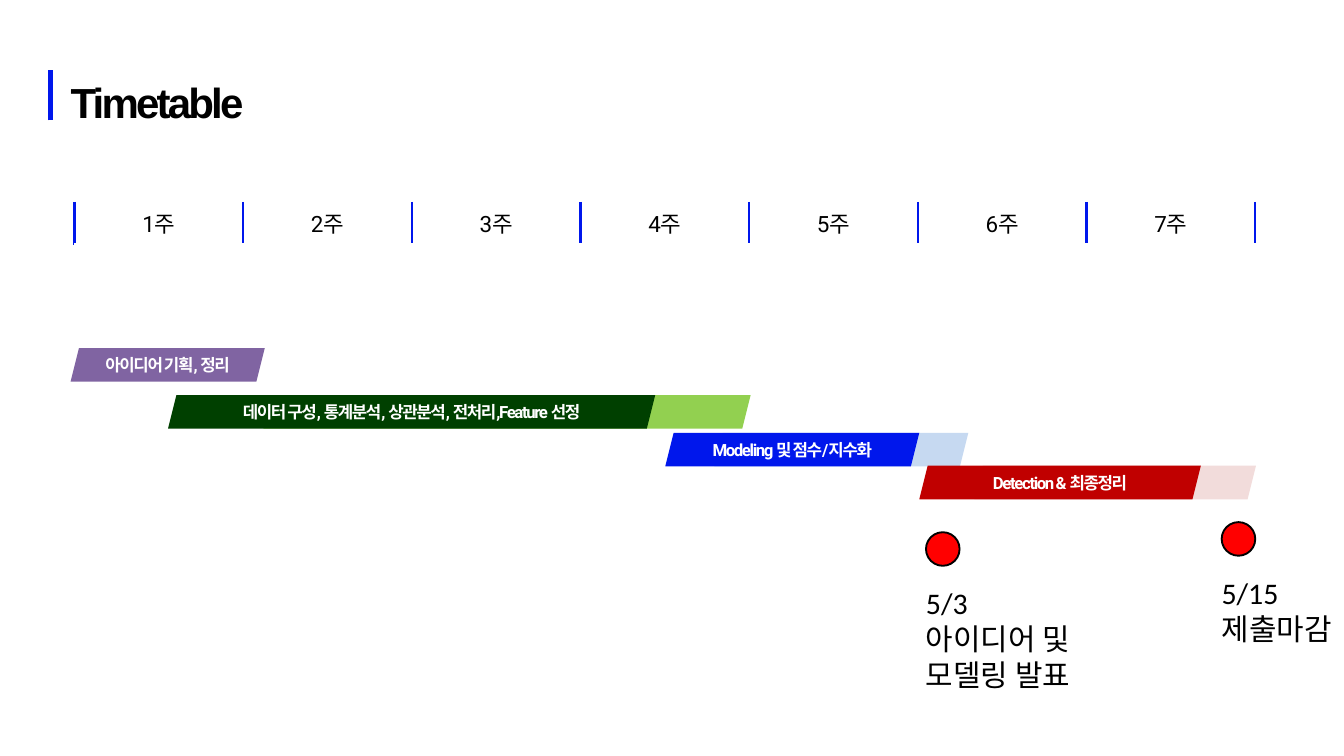
from lxml import etree
from pptx import Presentation, util as u
from pptx.dml.color import RGBColor
from pptx.enum import shapes, text
from pptx.oxml.ns import qn

COLORS = {
    "blue": "0017EC", "pale_blue": "C6D9F1", "green": "004000",
    "light_green": "92D050", "red": "C00000", "pale_red": "F2DCDB",
    "purple": "8064A2", "dot": "FF0000", "black": "000000", "white": "FFFFFF",
}
WEEKS, ROWS = 7, 8
BAR_HEIGHT, DOT_SIZE = 0.5, 0.5

# Left, top, width, colour, label, offset and colour of the buffer bar behind
TASKS = [
    (2.5, 5.88, 7.25, "green", "데이터 구성, 통계분석, 상관분석, 전처리,Feature 선정", 1.42, "light_green"),
    (9.9, 6.44, 3.78, "blue", "Modeling 및 점수/지수화", 0.73, "pale_blue"),
    (13.68, 6.93, 4.19, "red", "Detection & 최종정리", 0.82, "pale_red"),
    (1.05, 5.18, 2.89, "purple", "아이디어 기획, 정리", 0, None),
]
# Left, top, width, height of the whole milestone, then its lines
MILESTONES = [
    (13.68, 7.92, 2.99, 2.45, ["5/3", "아이디어 및 모델링 발표"]),
    (18.08, 7.77, 1.92, 1.91, ["5/15", "제출마감"]),
]


def rgb(name):
    return RGBColor.from_string(COLORS[name])


def set_font(para, name, size, color, bold=False, spacing=0):
    font = para.font
    font.name, font.size, font.bold = name, u.Pt(size), bold
    font.color.rgb = rgb(color)
    if spacing:
        for span in para.runs:
            span._r.get_or_add_rPr().set("spc", str(int(spacing * 100)))


def add_shape(page, kind, left, top, width, height, fill):
    shape = page.shapes.add_shape(
        kind, u.Inches(left), u.Inches(top), u.Inches(width), u.Inches(height))
    shape.shadow.inherit = False
    shape.fill.solid()
    shape.fill.fore_color.rgb = rgb(fill)
    shape.line.fill.background()
    return shape


def set_border(cell, side, color, width):
    line = etree.SubElement(cell._tc.get_or_add_tcPr(), qn("a:ln" + side),
                            w=str(u.Pt(width)))
    fill = etree.SubElement(line, qn("a:solidFill"))
    etree.SubElement(fill, qn("a:srgbClr"), val=COLORS[color])


def add_title(page, left, top, width, height):
    # Accent line
    accent = page.shapes.add_connector(
        shapes.MSO_CONNECTOR.STRAIGHT, u.Inches(left), u.Inches(top + 0.94),
        u.Inches(left), u.Inches(top + 0.19))
    accent.line.color.rgb = rgb("blue")
    accent.line.width = u.Pt(5)
    etree.SubElement(accent._element.spPr, qn("a:effectLst"))

    # Heading
    box = page.shapes.add_textbox(u.Inches(left + 0.3), u.Inches(top),
                                  u.Inches(width - 0.3), u.Inches(height))
    frame = box.text_frame
    frame.word_wrap = True
    frame.margin_left = frame.margin_right = 0
    frame.margin_top = frame.margin_bottom = 0
    para = frame.paragraphs[0]
    para.text = "Timetable"
    para.line_spacing = u.Pt(74.8)
    set_font(para, "Arial", 45, "black", bold=True, spacing=-3)


def add_week_grid(page, left, top, width, height):
    table = page.shapes.add_table(
        ROWS, WEEKS, u.Inches(left), u.Inches(top),
        u.Inches(width), u.Inches(height)).table
    table.first_row = table.horz_banding = False
    for column in table.columns:
        column.width = u.Inches(width / WEEKS)
    for row_index, row in enumerate(table.rows):
        row.height = u.Inches(height / ROWS)
        header = row_index == 0
        for week, cell in enumerate(row.cells, 1):
            side_border = ("blue", 3) if header else ("white", 1)
            set_border(cell, "L", *side_border)
            set_border(cell, "R", *side_border)
            set_border(cell, "T", "white", 3 if row_index == 1 else 1)
            set_border(cell, "B", "white", 3 if header else 1)
            cell.fill.background()
            cell.margin_left = cell.margin_right = u.Inches(0.13)
            cell.margin_top = cell.margin_bottom = u.Inches(0.07)
            if header:
                para = cell.text_frame.paragraphs[0]
                para.text = f"{week}주"
                para.alignment = text.PP_ALIGN.CENTER
                set_font(para, "Roboto", 24, "black")


def add_task(page, left, top, width, color, label, offset, buffer_color):
    kind = shapes.MSO_SHAPE.PARALLELOGRAM
    if buffer_color:
        add_shape(page, kind, left + offset, top, width, BAR_HEIGHT, buffer_color)
    bar = add_shape(page, kind, left, top, width, BAR_HEIGHT, color)
    frame = bar.text_frame
    frame.vertical_anchor = text.MSO_ANCHOR.MIDDLE
    para = frame.paragraphs[0]
    para.text = label
    para.alignment = text.PP_ALIGN.CENTER
    set_font(para, "Roboto", 18, "white", bold=True, spacing=-1.5)


def add_milestone(page, left, top, width, height, lines):
    dot = add_shape(page, shapes.MSO_SHAPE.OVAL, left + 0.1, top,
                    DOT_SIZE, DOT_SIZE, "dot")
    dot.line.color.rgb = rgb("black")
    dot.line.width = u.Pt(2)
    box = page.shapes.add_textbox(u.Inches(left), u.Inches(top + 0.73),
                                  u.Inches(width), u.Inches(height - 0.73))
    frame = box.text_frame
    frame.word_wrap = True
    frame.text = "\n".join(lines)
    for para in frame.paragraphs:
        set_font(para, "Calibri", 32, "black")


def main():
    deck = Presentation()
    deck.slide_width, deck.slide_height = u.Inches(20), u.Inches(11.25)
    page = deck.slides.add_slide(deck.slide_layouts[6])
    add_week_grid(page, 1.11, 3.01, 17.57, 4.33)
    add_title(page, 0.75, 0.85, 9.22, 0.95)
    for task in TASKS:
        add_task(page, *task)
    for milestone in MILESTONES:
        add_milestone(page, *milestone)
    deck.save("out.pptx")


if __name__ == "__main__":
    main()
